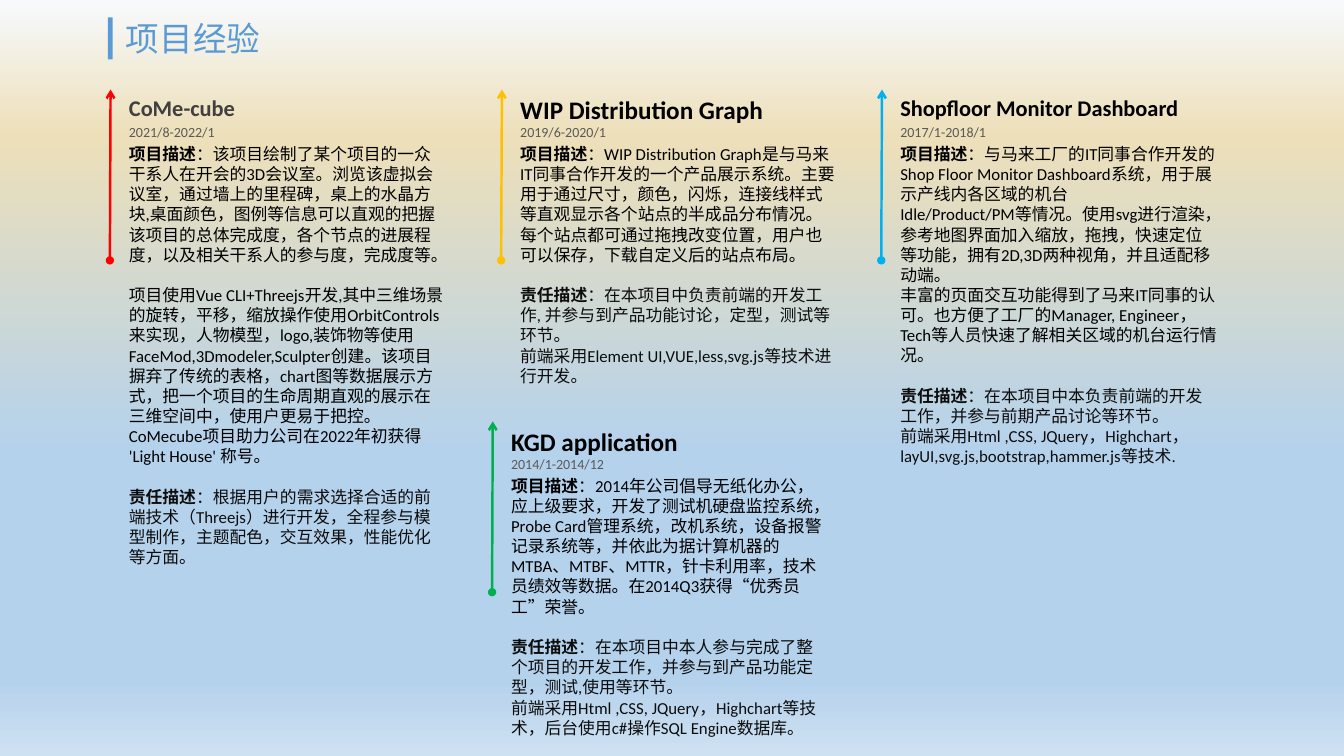
import pptx
import pptx.util
import pptx.dml.color
import pptx.enum.shapes
import pptx.enum.text
import pptx.oxml
import pptx.oxml.ns
import lxml.etree

Pt = pptx.util.Pt
COLORS = {
    "red": "FF0000", "amber": "FFC000", "blue": "00B0F0", "green": "00B050",
    "accent": "5B9BD5", "black": "000000", "ink": "0D0D0D",
    "heading": "404040", "date": "595959",
}
BACKGROUND = [(0, "F7FAFD"), (18, "EDDFB9"), (60, "B5D2EC"), (90, "B5D2EC"), (100, "CEE1F2")]

PROJECTS = [
    dict(left=351.5, top=301, line="green", heading="KGD application", size=18,
         color="black", date="2014/1-2014/12", blocks=[
             ["项目描述：2014年公司倡导无纸化办公，应上级要求，开发了测试机硬盘监控系统，Probe Card管理系统，改机系统，设备报警记录系统等，并依此为据计算机器的MTBA、MTBF、MTTR，针卡利用率，技术员绩效等数据。在2014Q3获得“优秀员工”荣誉。"],
             ["责任描述：在本项目中本人参与完成了整个项目的开发工作，并参与到产品功能定型，测试,使用等环节。",
              "前端采用Html ,CSS, JQuery，Highchart等技术，后台使用c#操作SQL Engine数据库。"]]),
    dict(left=78.5, top=64, line="red", heading="CoMe-cube", size=16,
         color="heading", date="2021/8-2022/1", blocks=[
             ["项目描述：该项目绘制了某个项目的一众干系人在开会的3D会议室。浏览该虚拟会议室，通过墙上的里程碑，桌上的水晶方块,桌面颜色，图例等信息可以直观的把握该项目的总体完成度，各个节点的进展程度，以及相关干系人的参与度，完成度等。"],
             ["项目使用Vue CLI+Threejs开发,其中三维场景的旋转，平移，缩放操作使用OrbitControls来实现，人物模型，logo,装饰物等使用FaceMod,3Dmodeler,Sculpter创建。该项目摒弃了传统的表格，chart图等数据展示方式，把一个项目的生命周期直观的展示在三维空间中，使用户更易于把控。",
              "CoMecube项目助力公司在2022年初获得 'Light House' 称号。"],
             ["责任描述：根据用户的需求选择合适的前端技术（Threejs）进行开发，全程参与模型制作，主题配色，交互效果，性能优化等方面。"]]),
    dict(left=629.5, top=64, line="blue", heading="Shopfloor Monitor Dashboard", size=16,
         color="black", date="2017/1-2018/1", blocks=[
             ["项目描述：与马来工厂的IT同事合作开发的Shop Floor Monitor Dashboard系统，用于展示产线内各区域的机台",
              "Idle/Product/PM等情况。使用svg进行渲染，参考地图界面加入缩放，拖拽，快速定位等功能，拥有2D,3D两种视角，并且适配移动端。",
              "丰富的页面交互功能得到了马来IT同事的认可。也方便了工厂的Manager, Engineer，Tech等人员快速了解相关区域的机台运行情况。"],
             ["责任描述：在本项目中本负责前端的开发工作，并参与前期产品讨论等环节。",
              "前端采用Html ,CSS, JQuery，Highchart，layUI,svg.js,bootstrap,hammer.js等技术."]]),
    dict(left=358, top=64, line="amber", heading="WIP Distribution Graph", size=18,
         color="black", date="2019/6-2020/1", blocks=[
             ["项目描述：WIP Distribution Graph是与马来IT同事合作开发的一个产品展示系统。主要用于通过尺寸，颜色，闪烁，连接线样式等直观显示各个站点的半成品分布情况。每个站点都可通过拖拽改变位置，用户也可以保存，下载自定义后的站点布局。"],
             ["责任描述：在本项目中负责前端的开发工作, 并参与到产品功能讨论，定型，测试等环节。",
              "前端采用Element UI,VUE,less,svg.js等技术进行开发。"]]),
]


def add_box(shapes, left, top, width, height):
    box = shapes.add_textbox(Pt(left), Pt(top), Pt(width), Pt(height))
    box.text_frame.word_wrap = True
    return box.text_frame


def style(para, size, color, bold=False):
    para.font.name = "Calibri"
    para.font.size = Pt(size)
    para.font.bold = bold
    para.font.color.rgb = pptx.dml.color.RGBColor.from_string(COLORS[color])


deck = pptx.Presentation()
deck.slide_width, deck.slide_height = Pt(960), Pt(540)
page = deck.slides.add_slide(deck.slide_layouts[5])

fill = page.background.fill
fill.gradient()
fill.gradient_angle = 270
stops = fill.gradient_stops._gsLst
for stop in list(stops):
    stops.remove(stop)
for position, color in BACKGROUND:
    stop = lxml.etree.SubElement(stops, pptx.oxml.ns.qn("a:gs"), pos=str(position * 1000))
    lxml.etree.SubElement(stop, pptx.oxml.ns.qn("a:srgbClr"), val=color)

for project in PROJECTS:
    left, top = project["left"], project["top"]
    group = page.shapes.add_group_shape().shapes

    arrow = group.add_connector(pptx.enum.shapes.MSO_CONNECTOR.STRAIGHT,
                                Pt(left), Pt(top + 122), Pt(left + 0.5), Pt(top))
    arrow.line.width = Pt(1.75)
    arrow.line.color.rgb = pptx.dml.color.RGBColor.from_string(COLORS[project["line"]])
    outline = arrow.line._get_or_add_ln()
    for end, kind in (("a:headEnd", "oval"), ("a:tailEnd", "arrow")):
        lxml.etree.SubElement(outline, pptx.oxml.ns.qn(end), type=kind)
    lxml.etree.SubElement(arrow._element.spPr, pptx.oxml.ns.qn("a:effectLst"))

    heading = add_box(group, left + 6.5, top, 218, 28).paragraphs[0]
    heading.text = project["heading"]
    style(heading, project["size"], project["color"], True)

    date = add_box(group, left + 6.5, top + 20.5, 174, 19).paragraphs[0]
    date.text = project["date"]
    style(date, 10, "date")

    frame = add_box(group, left + 6.5, top + 35, 241, 182)
    last_block = project["blocks"][-1]
    for block in project["blocks"]:
        for index, text in enumerate(block):
            first = block is project["blocks"][0] and index == 0
            para = frame.paragraphs[0] if first else frame.add_paragraph()
            style(para, 12, "ink" if block is last_block else "black")
            if index == 0 and not first:
                para.space_before = Pt(14.5)
            label, colon, rest = text.partition("：")
            if colon:
                span = para.add_run()
                span.text = label
                span.font.bold = True
            para.add_run().text = colon + rest if colon else text

bar = page.shapes.add_shape(pptx.enum.shapes.MSO_SHAPE.RECTANGLE, Pt(77), Pt(12.5), Pt(3.5), Pt(30))
bar.shadow.inherit = False
bar.fill.solid()
bar.fill.fore_color.rgb = pptx.dml.color.RGBColor.from_string(COLORS["accent"])
bar.line.fill.background()

title = page.shapes.title
title.left, title.top, title.width, title.height = Pt(61), Pt(9.5), Pt(154), Pt(36)
title.text_frame.text = "项目经验"
title.text_frame.vertical_anchor = pptx.enum.text.MSO_ANCHOR.TOP
title.text_frame.auto_size = pptx.enum.text.MSO_AUTO_SIZE.NONE
title.text_frame.paragraphs[0].alignment = pptx.enum.text.PP_ALIGN.CENTER
style(title.text_frame.paragraphs[0], 24, "accent")

deck.save("out.pptx")
